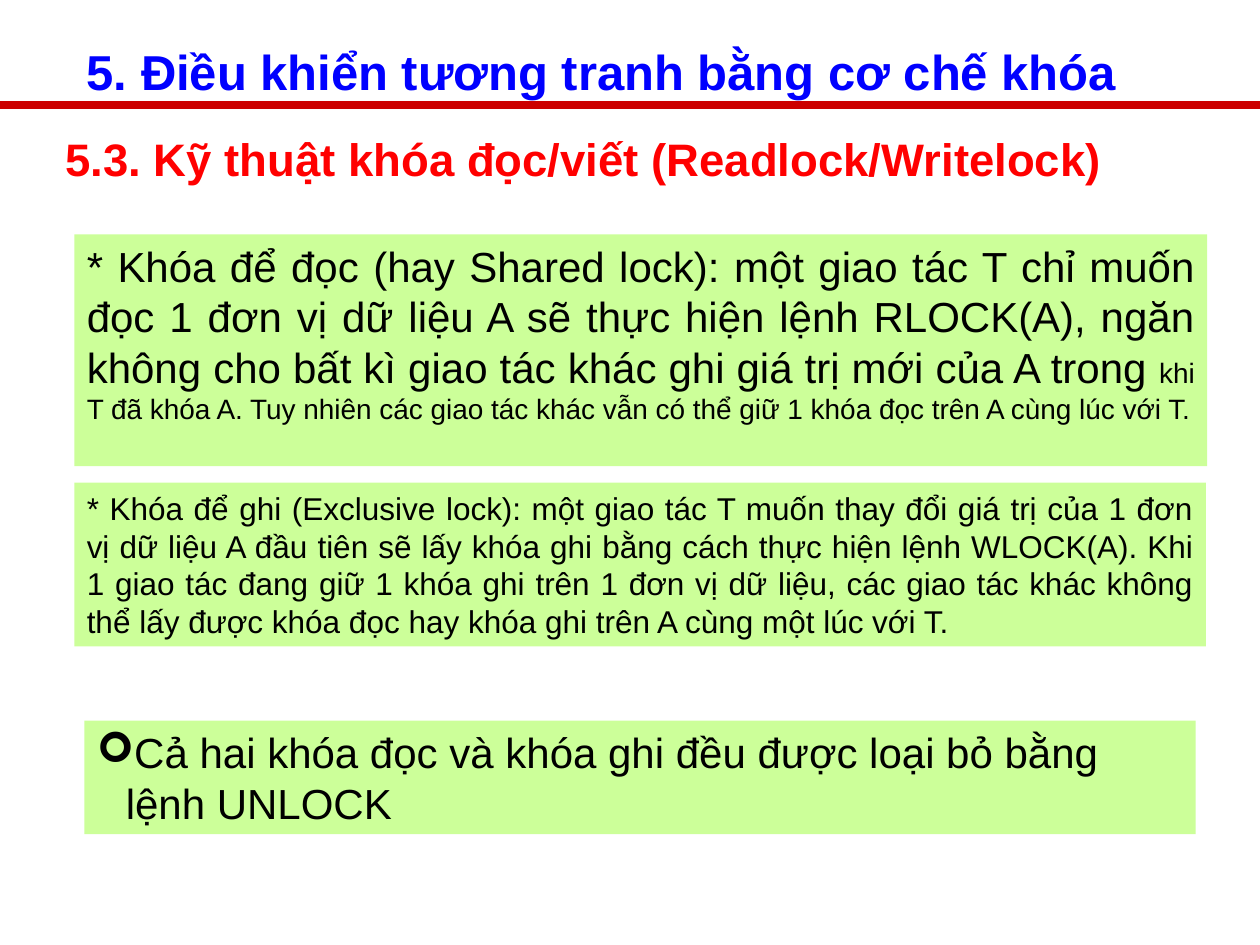
from dataclasses import dataclass

from lxml.etree import SubElement
from pptx import Presentation
from pptx.dml.color import RGBColor
from pptx.enum.shapes import MSO_CONNECTOR, MSO_SHAPE
from pptx.enum.text import MSO_ANCHOR, PP_ALIGN
from pptx.oxml.ns import qn
from pptx.util import Inches, Pt


@dataclass(frozen=True)
class Theme:
    font: str = "Arial"
    title_color: str = "0000FF"
    heading_color: str = "FF0000"
    rule_color: str = "CC0000"
    panel_color: str = "CCFF99"
    text_color: str = "000000"
    title_size: int = 28
    heading_size: int = 26
    large_size: int = 24
    medium_size: int = 18
    small_size: int = 16
    rule_width: float = 4.5


def add_span(paragraph, text, *, font, size, color, bold=False):
    span = paragraph.add_run()
    span.text = text
    span.font.name = font
    span.font.size = Pt(size)
    span.font.bold = bold
    span.font.color.rgb = RGBColor.from_string(color)


def add_bullet(paragraph, symbol, color, indent):
    properties = paragraph._p.get_or_add_pPr()
    properties.set("marL", str(indent))
    properties.set("indent", str(-indent))
    bullet_color = SubElement(properties, qn("a:buClr"))
    SubElement(bullet_color, qn("a:srgbClr"), val=color)
    SubElement(properties, qn("a:buFont"), typeface="Wingdings")
    SubElement(properties, qn("a:buChar"), char=symbol)


class SlideBuilder:
    def __init__(self, page, theme):
        self.page = page
        self.theme = theme

    def rule(self, left, right, top):
        line = self.page.shapes.add_connector(
            MSO_CONNECTOR.STRAIGHT, Inches(left), Inches(top), Inches(right), Inches(top)
        )
        line.line.color.rgb = RGBColor.from_string(self.theme.rule_color)
        line.line.width = Pt(self.theme.rule_width)
        SubElement(line._element.spPr, qn("a:effectLst"))

    def heading(self, text, left, top, width, height, *, size, color, anchor=MSO_ANCHOR.TOP):
        box = self.page.shapes.add_textbox(
            Inches(left), Inches(top), Inches(width), Inches(height)
        )
        box.text_frame.word_wrap = False
        box.text_frame.vertical_anchor = anchor
        add_span(box.text_frame.paragraphs[0], text,
                 font=self.theme.font, size=size, color=color, bold=True)

    def panel(self, spans, left, top, width, height, *, align=PP_ALIGN.JUSTIFY, bullet=None):
        box = self.page.shapes.add_shape(
            MSO_SHAPE.RECTANGLE, Inches(left), Inches(top), Inches(width), Inches(height)
        )
        box.shadow.inherit = False
        box.fill.solid()
        box.fill.fore_color.rgb = RGBColor.from_string(self.theme.panel_color)
        box.line.fill.background()
        box.text_frame.word_wrap = True
        box.text_frame.vertical_anchor = MSO_ANCHOR.TOP
        paragraph = box.text_frame.paragraphs[0]
        paragraph.alignment = align
        if bullet:
            add_bullet(paragraph, bullet, self.theme.text_color, Inches(0.23))
        for text, size in spans:
            add_span(paragraph, text, font=self.theme.font, size=size,
                     color=self.theme.text_color)


def main():
    deck = Presentation()
    deck.slide_width, deck.slide_height = Inches(10), Inches(7.5)
    theme = Theme()
    slide = SlideBuilder(deck.slides.add_slide(deck.slide_layouts[6]), theme)

    slide.rule(0, 10, 0.83)
    slide.heading("5.3. Kỹ thuật khóa đọc/viết (Readlock/Writelock)", 0.42, 0.99, 8.44, 0.54,
                  size=theme.heading_size, color=theme.heading_color)
    slide.heading("5. Điều khiển tương tranh bằng cơ chế khóa", 0.59, 0.28, 8.37, 0.57,
                  size=theme.title_size, color=theme.title_color, anchor=MSO_ANCHOR.MIDDLE)
    slide.panel([
        ("* Khóa để đọc (hay Shared lock): một giao tác T chỉ muốn đọc 1 đơn vị dữ liệu A "
         "sẽ thực hiện lệnh RLOCK(A), ngăn không cho bất kì giao tác khác ghi giá trị mới "
         "của A trong ", theme.large_size),
        ("khi T đã khóa A. Tuy nhiên các giao tác khác vẫn có thể giữ 1 khóa đọc trên A "
         "cùng lúc với T.", theme.small_size),
    ], 0.59, 1.86, 8.99, 1.84)
    slide.panel([
        ("* Khóa để ghi (Exclusive lock): một giao tác T muốn thay đổi giá trị của 1 đơn vị "
         "dữ liệu A đầu tiên sẽ lấy khóa ghi bằng cách thực hiện lệnh WLOCK(A). Khi 1 giao "
         "tác đang giữ 1 khóa ghi trên 1 đơn vị dữ liệu, các giao tác khác không thể lấy "
         "được khóa đọc hay khóa ghi trên A cùng một lúc với T.", theme.medium_size),
    ], 0.59, 3.83, 8.98, 1.3)
    slide.panel([
        ("Cả hai khóa đọc và khóa ghi đều được loại bỏ bằng lệnh UNLOCK", theme.large_size),
    ], 0.67, 5.72, 8.82, 0.9, align=PP_ALIGN.LEFT, bullet="➢")

    deck.save("out.pptx")


if __name__ == "__main__":
    main()
